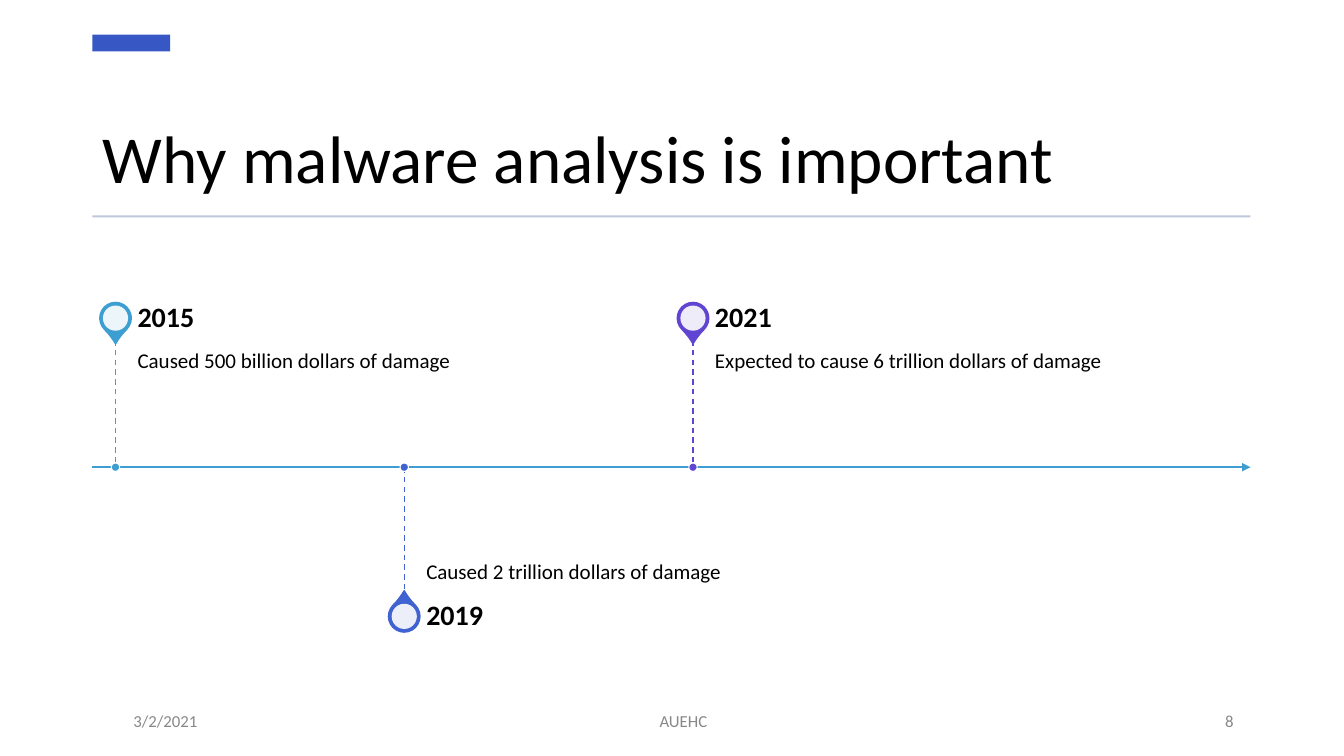
from pptx import Presentation
from pptx.dml.color import RGBColor
from pptx.enum.dml import MSO_LINE_DASH_STYLE as Dash
from pptx.enum.shapes import MSO_CONNECTOR, MSO_SHAPE as Shape
from pptx.enum.text import MSO_ANCHOR as Anchor, MSO_AUTO_SIZE as Fit, PP_ALIGN as Align
from pptx.oxml.ns import qn
from pptx.util import Emu, Pt
from lxml.etree import SubElement

SCALE = 9525  # EMU per px
FONT = "Calibri"
STEP = 275  # px between neighbouring events
EVENTS = [
    ("2015", "Caused 500 billion dollars of damage", "3D9ED1"),
    ("2019", "Caused 2 trillion dollars of damage", "4162D1"),
    ("2021", "Expected to cause 6 trillion dollars of damage", "6045D2"),
]


def px(*nums):
    return [Emu(num * SCALE) for num in nums]


def color(code):
    return RGBColor.from_string(code)


def write(shape, text, size, ink="000000", bold=False, align=Align.LEFT,
          anchor=Anchor.MIDDLE, inset=(10, 5, 10, 5), space=0.9):
    frame = shape.text_frame
    frame.text = text
    frame.word_wrap = True
    frame.auto_size = Fit.NONE
    frame.vertical_anchor = anchor
    (frame.margin_left, frame.margin_top,
     frame.margin_right, frame.margin_bottom) = px(*inset)
    para = frame.paragraphs[0]
    para.alignment = align
    para.line_spacing = space
    font = para.runs[0].font
    font.name, font.size, font.bold = FONT, Pt(size), bold
    font.color.rgb = color(ink)


def label(shapes, box, text, size, **style):
    write(shapes.add_textbox(*px(*box)), text, size, **style)


def draw(shapes, kind, box, fill, edge=None, width=1):
    shape = shapes.add_shape(kind, *px(*box))
    shape.shadow.inherit = False
    shape.fill.solid()
    shape.fill.fore_color.rgb = color(fill)
    if edge:
        shape.line.color.rgb = color(edge)
        shape.line.width = Pt(width)
    else:
        shape.line.fill.background()
    return shape


def round_at(shapes, x, y, size, *style):
    half = size // 2
    return draw(shapes, Shape.OVAL, (x - half, y - half, size, size), *style)


def link(shapes, ends, ink, width):
    line = shapes.add_connector(MSO_CONNECTOR.STRAIGHT, *px(*ends))
    line.line.color.rgb = color(ink)
    line.line.width = Pt(width)
    SubElement(line._element.spPr, qn("a:effectLst"))
    return line


def header(slide, box):
    left, top, wide, high = box
    # Accent bar, title and rule
    draw(slide.shapes, Shape.RECTANGLE, (left, top, 74, 16), "3758C4")
    title = slide.shapes.title
    title.left, title.top, title.width, title.height = px(left, top + 39, wide, 122)
    write(title, "Why malware analysis is important", 48, anchor=Anchor.BOTTOM)
    draw(slide.shapes, Shape.RECTANGLE, (left, top + high - 2, wide, 2), "BDC9DA")


def event(shapes, x, axis, above, year, text, ink):
    side = -1 if above else 1
    pin = axis + side * 142
    tip = pin - side * 21
    # Pin
    drop = draw(shapes, Shape.TEAR, (x - 15, pin - 15, 30, 30), ink, ink)
    drop.adjustments[0] = 1.15
    drop.rotation = 135 if above else 315
    disc = round_at(shapes, x, pin, 24, "FFFFFF")
    tint = disc.fill._xPr.find(".//" + qn("a:srgbClr"))
    SubElement(tint, qn("a:alpha"), val="90000")
    # Texts
    label(shapes, (x + 21, min(tip, axis), 458, 121), text, 15,
          anchor=Anchor.TOP if above else Anchor.BOTTOM,
          inset=(0, 10, 10, 15) if above else (0, 15, 0, 10))
    label(shapes, (x + 21, pin - 21, 458, 42), year, 20, bold=True,
          inset=(0, 0, 13, 0))
    # Stem and dot
    stem = link(shapes, (x, min(tip, axis), x, max(tip, axis)), ink, 1)
    stem.line.dash_style = Dash.DASH
    round_at(shapes, x, axis, 8, ink, "FFFFFF", 0.75)


def timeline(slide, box):
    left, top, wide, high = box
    axis = top + high // 2
    shapes = slide.shapes.add_group_shape().shapes
    arrow = link(shapes, (left, axis, left + wide, axis), "3D9ED1", 1.5)
    SubElement(arrow.line._get_or_add_ln(), qn("a:tailEnd"), type="triangle")
    for num, (year, text, ink) in enumerate(EVENTS):
        event(shapes, left + 22 + num * STEP, axis, num % 2 == 0, year, text, ink)


def footer(slide, box):
    left, top, wide, high = box
    parts = [
        (left, 288, "3/2/2021", Align.LEFT),
        (left + (wide - 432) // 2, 432, "AUEHC", Align.CENTER),
        (left + wide - 288, 288, "8", Align.RIGHT),
    ]
    for x, span, text, align in parts:
        label(slide.shapes, (x, top, span, high), text, 12,
              ink="888888", align=align, space=1.0)


def main():
    deck = Presentation()
    deck.slide_width, deck.slide_height = px(1280, 720)
    slide = deck.slides.add_slide(deck.slide_layouts[5])
    header(slide, (88, 33, 1103, 174))
    timeline(slide, (88, 282, 1103, 326))
    footer(slide, (117, 667, 1068, 38))
    deck.save("out.pptx")


if __name__ == "__main__":
    main()
